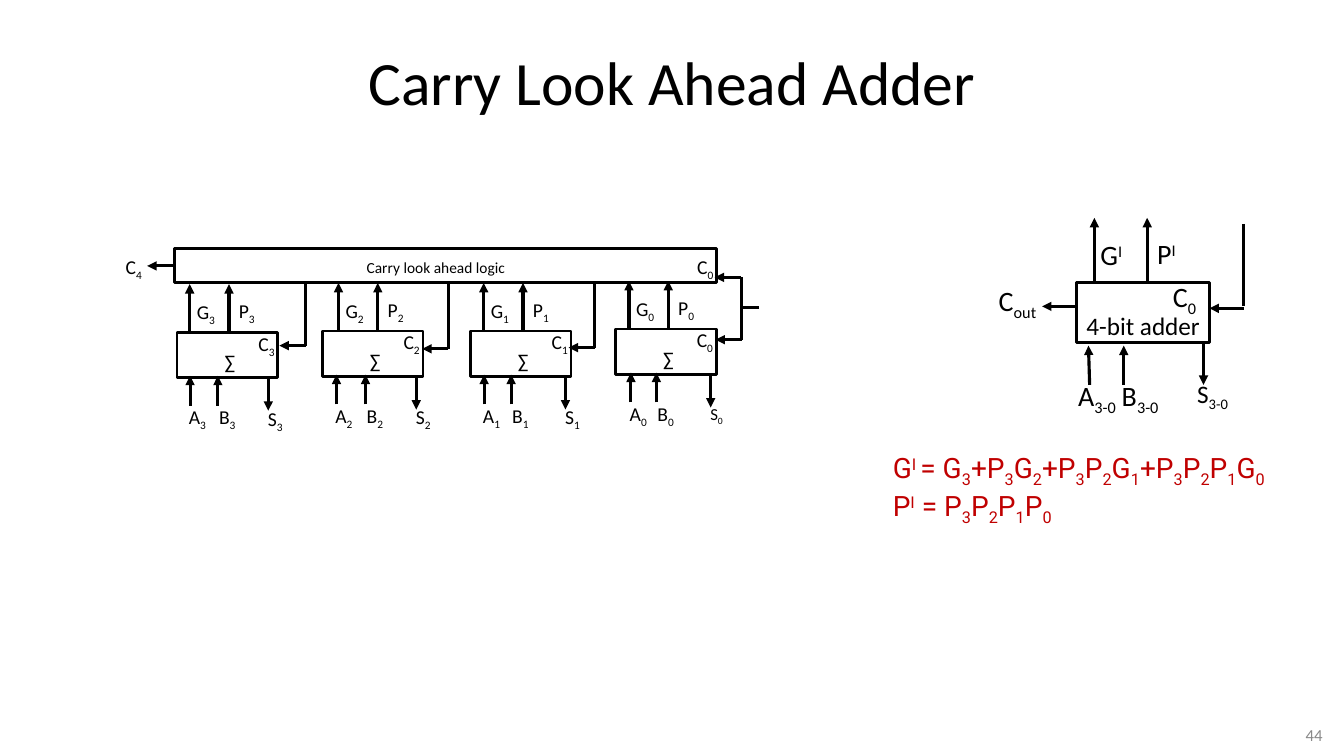
from dataclasses import dataclass

import lxml.etree
import pptx
import pptx.dml.color
import pptx.enum.shapes
import pptx.enum.text
import pptx.oxml.ns
import pptx.util
from pptx.util import Cm

BLACK = pptx.dml.color.RGBColor(0x00, 0x00, 0x00)
WHITE = pptx.dml.color.RGBColor(0xFF, 0xFF, 0xFF)
RED = pptx.dml.color.RGBColor(0xC0, 0x00, 0x00)
GRAY = pptx.dml.color.RGBColor(0x89, 0x89, 0x89)
BASELINES = {"_": "-25000", "^": "30000"}
ALIGN = pptx.enum.text.PP_ALIGN
MIDDLE = pptx.enum.text.MSO_ANCHOR.MIDDLE
TITLE_ONLY = 5


@dataclass
class Label:
    text: str
    left: float
    top: float
    width: float
    height: float = 0.86
    size: float = 14
    wrap: bool = False
    font: str = "Calibri"
    color: pptx.dml.color.RGBColor = BLACK
    align: ALIGN = ALIGN.LEFT


@dataclass
class Wire:
    x1: float
    y1: float
    x2: float
    y2: float
    arrow: bool = True


@dataclass
class Box:
    left: float
    top: float
    width: float
    height: float


@dataclass
class Stage:
    bit: int
    left: float
    top: float
    generate_x: float
    a_x: float
    b_x: float
    sum_x: float
    carry_x: float
    carry_y: float
    feed_top: float = 7.16
    sum_size: float = 14


STAGES = [
    Stage(3, 4.46, 8.37, 4.78, 4.79, 5.49, 6.76, 7.7, 8.71),
    Stage(2, 8.12, 8.34, 8.53, 8.48, 9.21, 10.49, 11.3, 8.79),
    Stage(1, 11.85, 8.34, 12.19, 12.2, 12.88, 14.25, 14.99, 8.76),
    Stage(0, 15.51, 8.29, 15.85, 15.9, 16.54, 17.91, 18.69, 8.56, 6.99, 12),
]
LOGIC_BOX = Box(4.39, 6.27, 13.67, 0.86)
LOGIC_WIRES = [Wire(18.67, 6.99, 18.01, 6.99), Wire(19.13, 7.75, 18.67, 7.75, False)]
LOGIC_LABELS = [
    Label("Carry look ahead logic", 8.99, 6.38, 4.01, 0.74, 11),
    Label("C|_4", 2.92, 6.3, 0.94),
    Label("C|_0", 17.32, 6.3, 0.94),
]
ADDER_BOX = Box(27.13, 7.11, 3.35, 1.52)
ADDER_WIRES = [
    Wire(28.91, 7.14, 28.91, 5.49),
    Wire(27.58, 7.14, 27.58, 5.49),
    Wire(31.34, 5.64, 31.34, 7.72, False),
    Wire(31.34, 7.77, 30.48, 7.77),
    Wire(30.33, 8.61, 30.33, 9.7),
    Wire(27.13, 7.72, 26.26, 7.72),
    Wire(27.46, 9.7, 27.43, 8.71),
    Wire(28.32, 9.7, 28.32, 8.71),
]
ADDER_LABELS = [
    Label("C|_0", 29.31, 6.91, 1.14, 1.12, 20),
    Label("4-bit adder", 27.13, 7.7, 3.4, 1.02, 18),
    Label("P|^I", 28.91, 5.84, 0.99, 1.12, 20),
    Label("G|^I", 27.48, 5.87, 1.4, 1.12, 20, True),
    Label("S|_3-0", 29.92, 9.4, 1.37, 1.02, 18),
    Label("C|_out", 24.92, 7.01, 1.55, 1.12, 20),
    Label("B|_3-0", 28.02, 9.42, 1.52, 1.12, 20),
    Label("A|_3-0", 26.92, 9.42, 1.55, 1.12, 20),
]
EQUATIONS = Label(
    "G|^I |= G|_3|+P|_3|G|_2|+P|_3|P|_2|G|_1|+P|_3|P|_2|P|_1|G|_0\n"
    "P|^I| = P|_3|P|_2|P|_1|P|_0",
    22.25, 11.23, 10.64, 1.96, 20, font="Roboto", color=RED,
)
PAGE_NUMBER = Label("44", 29.95, 18.14, 3.63, 0.74, 12, True, color=GRAY, align=ALIGN.RIGHT)


def write_text(frame, label: Label) -> None:
    formats = {"name": label.font, "size": pptx.util.Pt(label.size)}
    for index, line in enumerate(label.text.split("\n")):
        paragraph = frame.add_paragraph() if index else frame.paragraphs[0]
        paragraph.alignment = label.align
        for piece in line.split("|"):
            run = paragraph.add_run()
            run.text = piece.lstrip("_^")
            for name, value in formats.items():
                setattr(run.font, name, value)
            run.font.color.rgb = label.color
            if piece[0] in BASELINES:
                run.font._element.set("baseline", BASELINES[piece[0]])


def draw_label(slide, label: Label):
    box = slide.shapes.add_textbox(
        Cm(label.left), Cm(label.top), Cm(label.width), Cm(label.height))
    box.text_frame.word_wrap = label.wrap
    write_text(box.text_frame, label)
    return box


def draw_box(slide, box: Box):
    shape = slide.shapes.add_shape(
        pptx.enum.shapes.MSO_SHAPE.RECTANGLE,
        Cm(box.left), Cm(box.top), Cm(box.width), Cm(box.height))
    shape.shadow.inherit = False
    shape.fill.solid()
    shape.fill.fore_color.rgb = WHITE
    shape.line.color.rgb = BLACK
    shape.line.width = pptx.util.Pt(2)
    return shape


def draw_wire(slide, wire: Wire):
    connector = slide.shapes.add_connector(
        pptx.enum.shapes.MSO_CONNECTOR.STRAIGHT,
        Cm(wire.x1), Cm(wire.y1), Cm(wire.x2), Cm(wire.y2))
    connector.line.color.rgb = BLACK
    connector.line.width = pptx.util.Pt(2.25)
    properties = connector._element.spPr
    if wire.arrow:
        outline = properties.find(pptx.oxml.ns.qn("a:ln"))
        lxml.etree.SubElement(outline, pptx.oxml.ns.qn("a:tailEnd"), type="triangle")
    lxml.etree.SubElement(properties, pptx.oxml.ns.qn("a:effectLst"))
    return connector


def draw_stage(slide, stage: Stage) -> None:
    top, bit = stage.top, stage.bit
    propagate_x = stage.generate_x + 0.99
    draw_box(slide, Box(stage.left, top, 2.54, 1.14))
    for x in (stage.a_x, stage.b_x):
        draw_wire(slide, Wire(x, top + 1.85, x, top + 1.1))
    for x in (stage.generate_x, propagate_x):
        draw_wire(slide, Wire(x, top, x, top - 1.21))
    draw_wire(slide, Wire(stage.sum_x, top + 1.17, stage.sum_x, top + 1.98))
    draw_wire(slide, Wire(stage.carry_x, stage.feed_top, stage.carry_x, stage.carry_y, False))
    draw_wire(slide, Wire(stage.carry_x, stage.carry_y, stage.carry_x - 0.66, stage.carry_y))
    for label in (
        Label("∑", stage.left + 0.95, top + 0.32, 0.79),
        Label(f"A|_{bit}", stage.a_x - 0.28, top + 1.71, 0.97),
        Label(f"B|_{bit}", stage.b_x - 0.22, top + 1.71, 0.97),
        Label(f"C|_{bit}", stage.left + 1.8, top - 0.14, 0.94),
        Label(f"P|_{bit}", propagate_x, top - 0.95, 0.94),
        Label(f"G|_{bit}", stage.generate_x - 0.07, top - 0.94, 1.07, wrap=True),
        Label(f"S|_{bit}", stage.sum_x - 0.26, top + 1.75, 0.91, size=stage.sum_size),
    ):
        draw_label(slide, label)


def main() -> None:
    presentation = pptx.Presentation()
    presentation.slide_width, presentation.slide_height = Cm(33.87), Cm(19.05)
    slide = presentation.slides.add_slide(presentation.slide_layouts[TITLE_ONLY])
    title = slide.shapes.title
    geometry = {"left": Cm(1.7), "top": Cm(0.76), "width": Cm(30.48), "height": Cm(2.57)}
    for name, value in geometry.items():
        setattr(title, name, value)
    title.text_frame.vertical_anchor = MIDDLE
    write_text(title.text_frame, Label(
        "Carry Look Ahead Adder", 0, 0, 0, size=44, align=ALIGN.CENTER))

    draw_box(slide, ADDER_BOX)
    for stage in STAGES:
        draw_stage(slide, stage)
    logic = draw_box(slide, LOGIC_BOX)
    carry_out = draw_wire(slide, Wire(4.39, 6.7, 3.71, 6.7))
    carry_out.begin_connect(logic, 1)
    for wire in ADDER_WIRES + LOGIC_WIRES:
        draw_wire(slide, wire)
    for label in ADDER_LABELS + LOGIC_LABELS + [EQUATIONS]:
        draw_label(slide, label)
    draw_label(slide, PAGE_NUMBER).text_frame.vertical_anchor = MIDDLE
    presentation.save("out.pptx")


if __name__ == "__main__":
    main()
